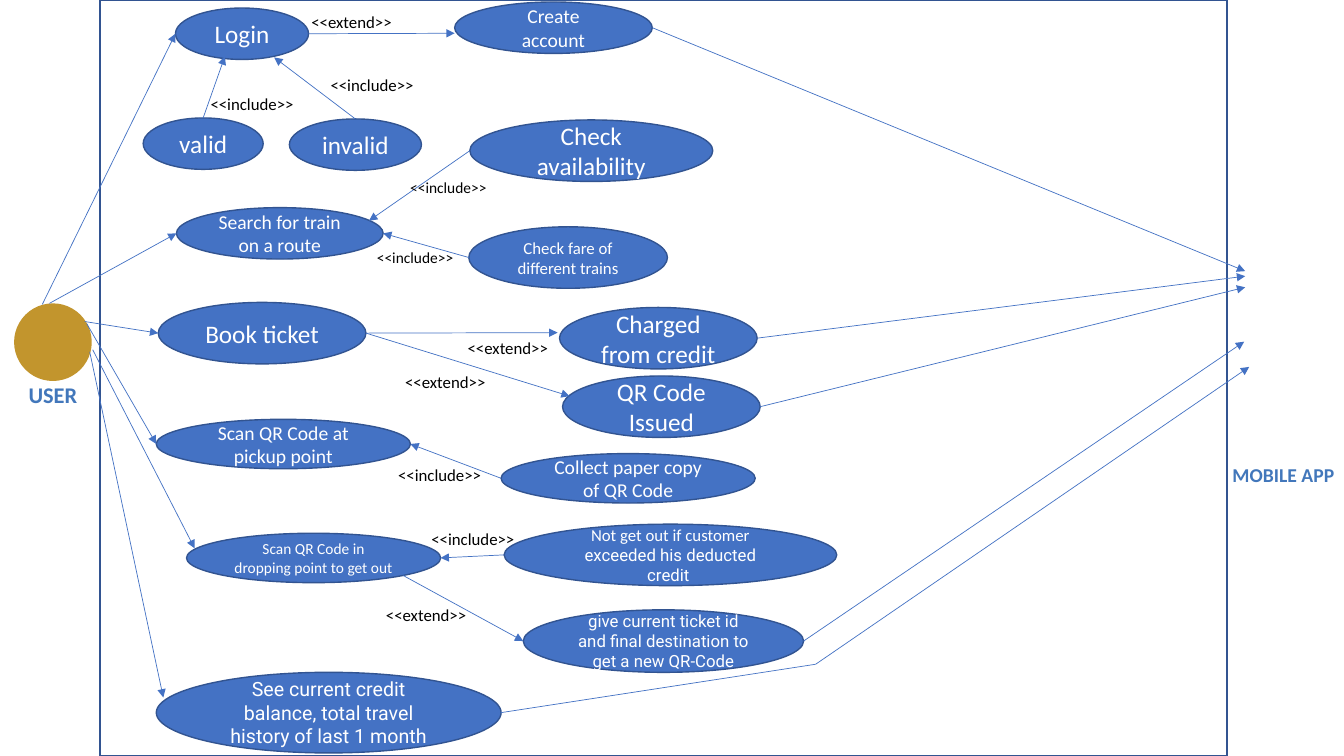
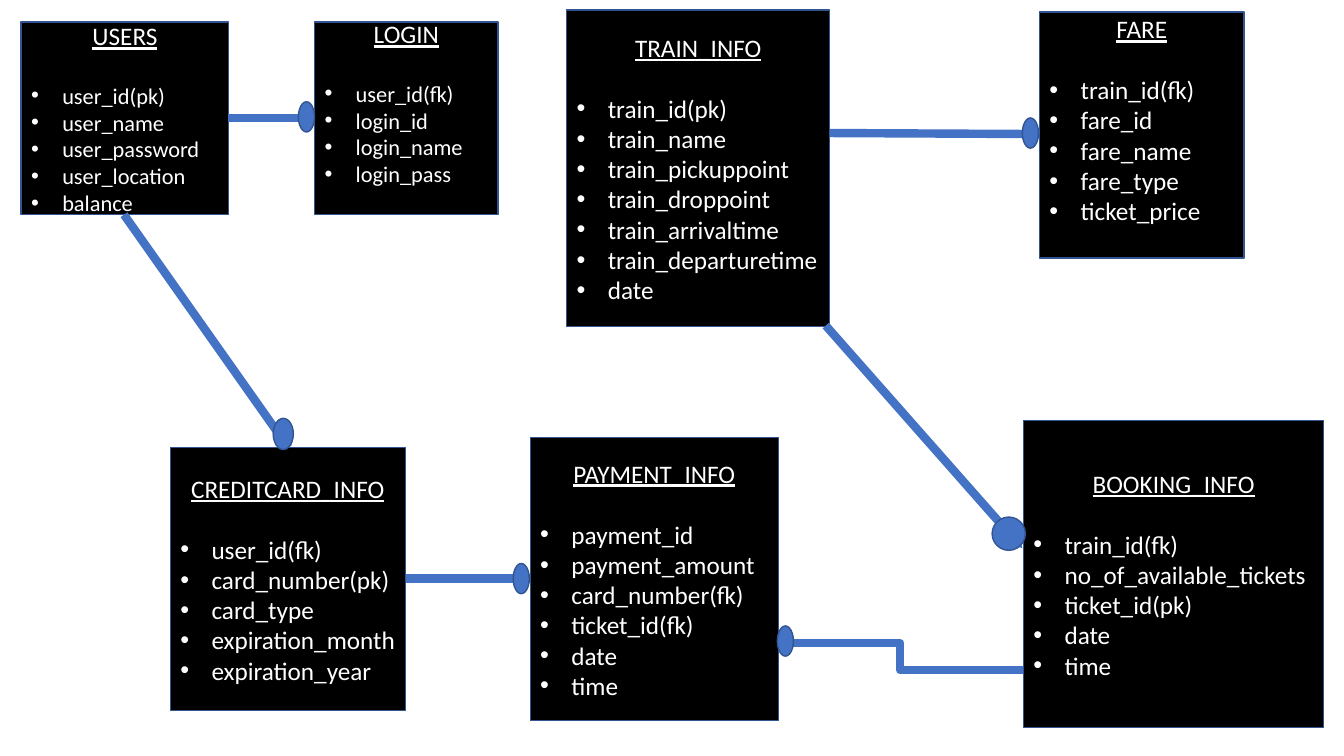
from dataclasses import dataclass

from pptx import Presentation
from pptx.dml.color import RGBColor
from pptx.enum.shapes import MSO_CONNECTOR, MSO_SHAPE
from pptx.enum.text import MSO_ANCHOR, MSO_AUTO_SIZE, PP_ALIGN
from pptx.oxml.ns import qn
from pptx.oxml.xmlchemy import OxmlElement
from pptx.util import Pt

RECT, OVAL, NODE = MSO_SHAPE.RECTANGLE, MSO_SHAPE.OVAL, MSO_SHAPE.FLOWCHART_CONNECTOR
STRAIGHT, ELBOW = MSO_CONNECTOR.STRAIGHT, MSO_CONNECTOR.ELBOW
LEFT, CENTER = PP_ALIGN.LEFT, PP_ALIGN.CENTER
TOP, MIDDLE = MSO_ANCHOR.TOP, MSO_ANCHOR.MIDDLE
GROW = MSO_AUTO_SIZE.SHAPE_TO_FIT_TEXT

EMU_PER_PX = 9144  # 100 px to the inch
SLIDE_W, SLIDE_H = 1333, 750


@dataclass(frozen=True)
class Theme:
    blue: str = "4472C4"
    outline: str = "325491"
    actor: str = "C2952D"
    actor_name: str = "4277BB"
    black: str = "000000"
    white: str = "FFFFFF"
    font: str = "Calibri"
    alt_font: str = "Roboto"
    large: int = 18
    medium: int = 16
    normal: int = 14
    small: int = 12
    tiny: int = 11
    border: float = 1
    arrow: float = 0.5
    relation: float = 6
    blank_line: int = 22


THEME = Theme()


def px(length):
    return round(length * EMU_PER_PX)


def rgb(color):
    return RGBColor.from_string(color)


# Shared parts

@dataclass(frozen=True)
class Area:
    """A region of a slide; its parts are placed relative to its corner."""
    shapes: object
    left: int
    top: int
    width: int
    height: int

    def place(self, x, y):
        return px(self.left + x), px(self.top + y)

    def shape(self, kind, box, fill=THEME.blue, border=THEME.outline):
        x, y, w, h = box
        part = self.shapes.add_shape(kind, *self.place(x, y), px(w), px(h))
        part.shadow.inherit = False
        if fill:
            part.fill.solid()
            part.fill.fore_color.rgb = rgb(fill)
        else:
            part.fill.background()
        if border:
            part.line.color.rgb = rgb(border)
            part.line.width = Pt(THEME.border)
        else:
            part.line.fill.background()
        return part

    def text(self, box, words, size, color=THEME.black, align=LEFT, bold=False, inset=True):
        x, y, w, h = box
        frame = self.shapes.add_textbox(*self.place(x, y), px(w), px(h)).text_frame
        frame.word_wrap = inset
        frame.auto_size = GROW
        frame.vertical_anchor = TOP
        if not inset:
            frame.margin_left = frame.margin_right = frame.margin_top = frame.margin_bottom = 0
        frame.paragraphs[0].alignment = align
        add_run(frame.paragraphs[0], words, size, color=color, bold=bold)

    def line(self, start, end, width=THEME.arrow, head=True, kind=STRAIGHT):
        link = self.shapes.add_connector(kind, *self.place(*start), *self.place(*end))
        link.line.color.rgb = rgb(THEME.blue)
        link.line.width = Pt(width)
        properties = link.element.spPr
        if head:
            arrowhead = OxmlElement("a:tailEnd")
            arrowhead.set("type", "triangle")
            properties.find(qn("a:ln")).append(arrowhead)
        properties.append(OxmlElement("a:effectLst"))


def add_run(paragraph, words, size, font=THEME.font, color=THEME.white, bold=False, underline=False):
    run = paragraph.add_run()
    run.text = words
    run.font.name = font
    run.font.size = Pt(size)
    run.font.color.rgb = rgb(color)
    run.font.bold = bold
    run.font.underline = underline


def add_bullet(paragraph):
    properties = paragraph._p.get_or_add_pPr()
    properties.set("marL", str(px(31)))
    properties.set("indent", str(-px(31)))
    for tag, key, value in (("a:buFont", "typeface", "Arial"), ("a:buChar", "char", "•")):
        mark = OxmlElement(tag)
        mark.set(key, value)
        properties.append(mark)


# Use case diagram

SANS, ALT = THEME.font, THEME.alt_font

# name: (box, type size, (words, font) runs)
USE_CASES = {
    "login": ((174, 8, 132, 51), THEME.large, [("Login", SANS)]),
    "account": ((451, 2, 196, 51), THEME.normal, [("Create account", SANS)]),
    "valid": ((142, 117, 119, 51), THEME.large, [("valid", SANS)]),
    "invalid": ((287, 118, 131, 51), THEME.large, [("invalid", SANS)]),
    "availability": ((466, 119, 241, 61), THEME.large, [("Check availability", SANS)]),
    "search": ((175, 206, 205, 51), THEME.normal, [("Search for train on a route", SANS)]),
    "fare": ((465, 225, 197, 61), THEME.small, [("Check fare of different trains", SANS)]),
    "book": ((157, 300, 206, 61), THEME.large, [("Book ticket", SANS)]),
    "charged": ((555, 305, 196, 61), THEME.large, [("Charged from credit", SANS)]),
    "issued": ((558, 373, 196, 61), THEME.large, [("QR Code Issued", SANS)]),
    "pickup": ((155, 416, 252, 49), THEME.normal, [("Scan QR Code at pickup point", SANS)]),
    "paper": ((497, 450, 252, 49), THEME.normal, [("Collect paper copy of QR Code", SANS)]),
    "dropping": ((185, 529, 252, 49), THEME.tiny,
                 [("Scan QR Code in dropping point to get out", SANS)]),
    "exceeded": ((500, 520, 330, 61), THEME.small,
                 [("Not get out if customer ", SANS), ("exceeded his deducted credit ", ALT)]),
    "new_code": ((519, 605, 278, 62), THEME.small,
                 [("give current ticket id and final destination to get a new QR-Code", ALT)]),
    "balance": ((155, 667, 342, 80), THEME.normal,
                [("See current credit balance, total travel history of last 1 month", ALT)]),
}

# Ends are points, or a use case and one of its sides
ARROWS = [
    ((42, 302), ("login", "left")),
    ((49, 301), ("search", "left")),
    ((84, 319), ("book", "left")),
    ((86, 321), ("pickup", "left")),
    ((92, 347), (193, 544)),
    ((89, 349), (162, 692)),
    (("login", "right"), (451, 33)),
    (("valid", "top"), (223, 56)),
    (("invalid", "top"), (272, 57)),
    (("availability", "left"), (366, 219)),
    (("fare", "left"), ("search", "right")),
    (("book", "right"), (553, 330)),
    (("book", "right"), (565, 393)),
    (("paper", "left"), ("pickup", "right")),
    (("exceeded", "left"), ("dropping", "right")),
    ((400, 571), ("new_code", "left")),
    (("account", "right"), (1235, 269)),
    (("charged", "right"), (1235, 274)),
    (("issued", "right"), (1235, 285)),
    (("new_code", "right"), (1234, 339)),
    ((809, 659), (1239, 364)),
]

INCLUDE, EXTEND = "<<include>>", "<<extend>>"
STEREOTYPES = [
    (299, 7, EXTEND, THEME.small),
    (318, 69, INCLUDE, THEME.small),
    (199, 88, INCLUDE, THEME.small),
    (397, 172, INCLUDE, THEME.tiny),
    (364, 241, INCLUDE, THEME.tiny),
    (454, 330, EXTEND, THEME.small),
    (392, 364, EXTEND, THEME.small),
    (385, 456, INCLUDE, THEME.small),
    (418, 520, INCLUDE, THEME.small),
    (373, 595, EXTEND, THEME.small),
]


def end_point(end):
    if end[0] not in USE_CASES:
        return end
    (x, y, w, h), *_ = USE_CASES[end[0]]
    across, down = {"left": (0, 0.5), "right": (1, 0.5), "top": (0.5, 0)}[end[1]]
    return x + w * across, y + h * down


def draw_use_cases(area):
    # Actors and system boundary
    area.shape(OVAL, (14, 301, 77, 77), THEME.actor, None)
    area.shape(RECT, (99, 0, 1118, area.height), None)
    for name, box, size in (("USER", (28, 378, 49, 27), THEME.medium),
                            ("MOBILE APP", (1213, 459, 120, 24), THEME.normal)):
        area.text(box, name, size, THEME.actor_name, CENTER, bold=True, inset=False)

    # Use cases
    for box, size, runs in USE_CASES.values():
        frame = area.shape(OVAL, box).text_frame
        frame.word_wrap = True
        frame.vertical_anchor = MIDDLE
        frame.paragraphs[0].alignment = CENTER
        for words, font in runs:
            add_run(frame.paragraphs[0], words, size, font)

    # Associations; the balance line bends below the others
    for start, end in ARROWS:
        area.line(end_point(start), end_point(end))
    area.line(end_point(("balance", "right")), (809, 659), head=False)

    for x, y, words, size in STEREOTYPES:
        area.text((x, y, 113, 30), words, size)


# Entity diagram

# title, box, field size, blank lines below, fields
ENTITIES = [
    ("USERS", (21, 22, 206, 191), THEME.medium, 0,
     ["user_id(pk)", "user_name", "user_password", "user_location", "balance"]),
    ("LOGIN", (312, 22, 182, 191), THEME.medium, 1,
     ["user_id(fk)", "login_id", "login_name", "login_pass"]),
    ("TRAIN_INFO", (562, 10, 261, 314), THEME.large, 0,
     ["train_id(pk)", "train_name", "train_pickuppoint", "train_droppoint",
      "train_arrivaltime", "train_departuretime", "date"]),
    ("FARE", (1031, 12, 203, 244), THEME.large, 1,
     ["train_id(fk)", "fare_id", "fare_name", "fare_type", "ticket_price"]),
    ("CREDITCARD_INFO", (169, 444, 233, 261), THEME.large, 0,
     ["user_id(fk)", "card_number(pk)", "card_type", "expiration_month", "expiration_year"]),
    ("PAYMENT_INFO", (526, 434, 246, 281), THEME.large, 0,
     ["payment_id", "payment_amount", "card_number(fk)", "ticket_id(fk)", "date", "time"]),
    ("BOOKING_INFO", (1015, 417, 298, 305), THEME.large, 0,
     ["train_id(fk)", "no_of_available_tickets", "ticket_id(pk)", "date", "time"]),
]

# start, end, kind, arrowhead
RELATIONS = [
    ((403, 574), (526, 574), STRAIGHT, False),
    ((123, 213), (286, 444), STRAIGHT, False),
    ((226, 117), (312, 117), STRAIGHT, False),
    ((823, 132), (1031, 133), STRAIGHT, False),
    ((1015, 665), (771, 638), ELBOW, False),
    ((819, 323), (1014, 544), STRAIGHT, True),
]

SIDE_ENDS = [(296, 101), (509, 559), (1014, 117), (771, 621)]


def draw_entity(area, title, box, size, blank_lines, fields):
    frame = area.shape(RECT, box, THEME.black).text_frame
    frame.word_wrap = True
    frame.vertical_anchor = MIDDLE
    frame.margin_bottom = px(5) + Pt(THEME.blank_line * blank_lines)
    heading = frame.paragraphs[0]
    heading.alignment = CENTER
    heading.space_after = Pt(THEME.blank_line)
    add_run(heading, title, THEME.large, underline=True)
    for field in fields:
        row = frame.add_paragraph()
        row.alignment = LEFT
        add_bullet(row)
        add_run(row, field, size)


def draw_entities(area):
    for entity in ENTITIES:
        draw_entity(area, *entity)
    for start, end, kind, head in RELATIONS:
        area.line(start, end, THEME.relation, head, kind)

    # Relation ends
    for x, y in SIDE_ENDS:
        area.shape(OVAL, (x, y, 16, 30))
    area.shape(OVAL, (271, 415, 20, 31))
    area.shape(NODE, (984, 513, 33, 33))


def main():
    deck = Presentation()
    deck.slide_width, deck.slide_height = px(SLIDE_W), px(SLIDE_H)
    blank = deck.slide_layouts[6]
    for draw in (draw_use_cases, draw_entities):
        slide = deck.slides.add_slide(blank)
        draw(Area(slide.shapes, 0, 0, SLIDE_W, SLIDE_H))
    deck.save("out.pptx")


if __name__ == "__main__":
    main()
